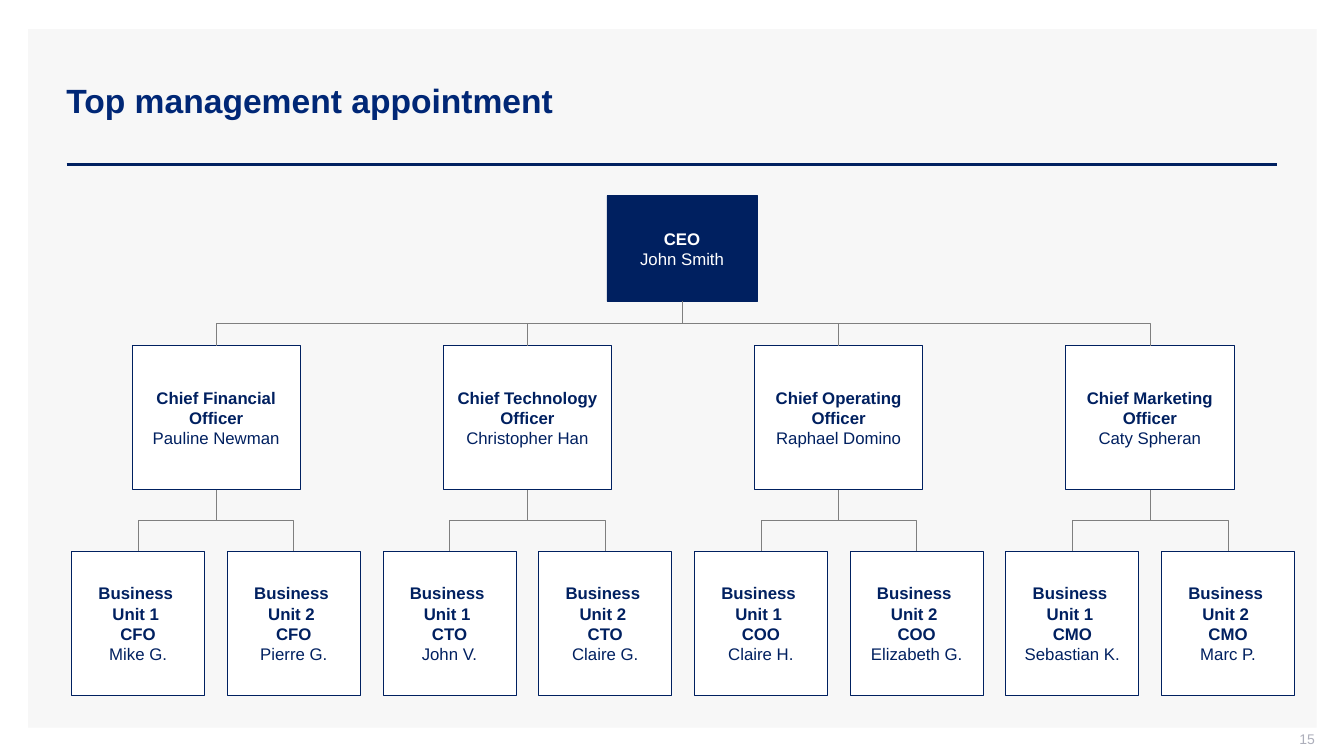
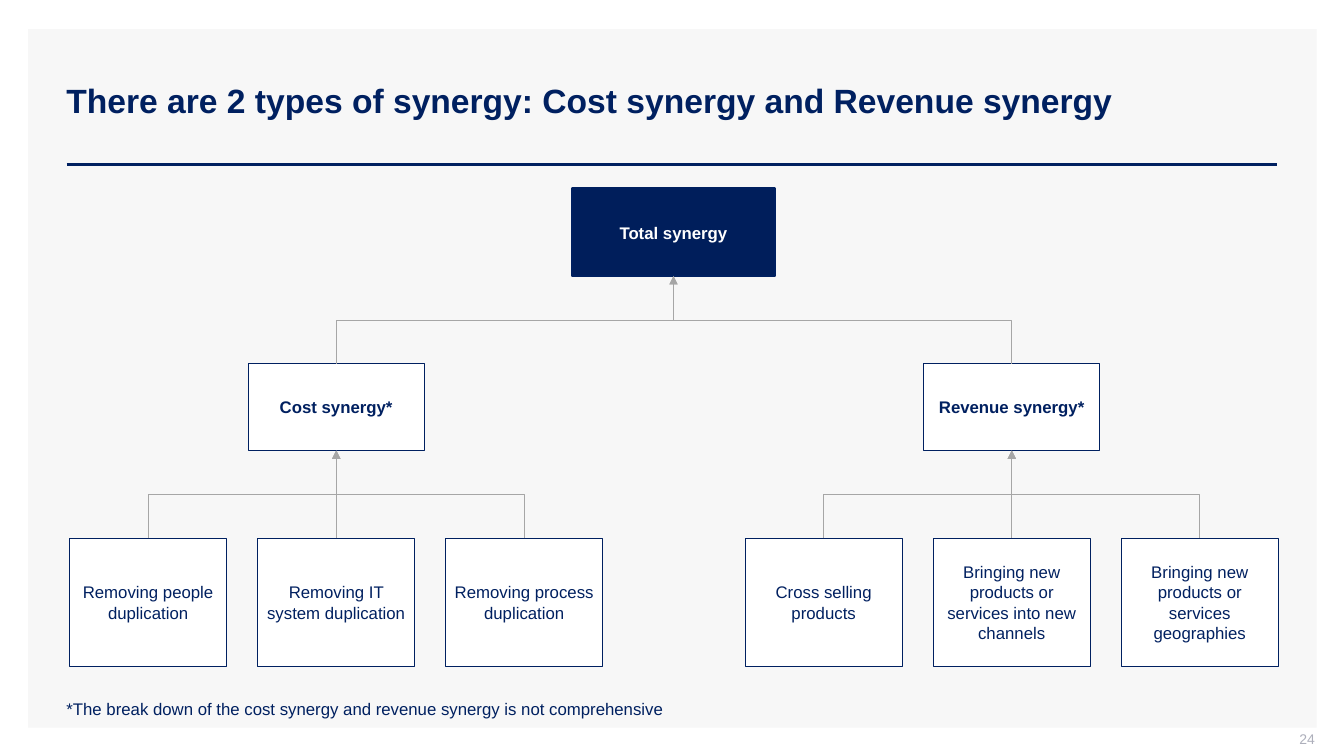
from copy import deepcopy

from lxml.etree import SubElement
from pptx import Presentation
from pptx.dml.color import RGBColor
from pptx.enum.shapes import MSO_CONNECTOR, MSO_SHAPE
from pptx.enum.text import MSO_ANCHOR, MSO_AUTO_SIZE, PP_ALIGN
from pptx.oxml.ns import qn
from pptx.util import Pt

SCALE = 9144
FONT = "Arial"
NAVY, WHITE, PANEL = "002060", "FFFFFF", "F7F7F7"
TOP, BOTTOM = 0, 2

CHIEFS = [
    ("Chief Financial Officer", "Pauline Newman", "CFO", ("Mike G.", "Pierre G.")),
    ("Chief Technology Officer", "Christopher Han", "CTO", ("John V.", "Claire G.")),
    ("Chief Operating Officer", "Raphael Domino", "COO", ("Claire H.", "Elizabeth G.")),
    ("Chief Marketing Officer", "Caty Spheran", "CMO", ("Sebastian K.", "Marc P.")),
]
SYNERGIES = [
    ("Cost synergy*", 69, (
        "Removing people duplication",
        "Removing IT system duplication",
        "Removing process duplication")),
    ("Revenue synergy*", 739, (
        "Cross selling products",
        "Bringing new products or services into new channels",
        "Bringing new products or services geographies")),
]


def px(n):
    """Turn px into EMU."""
    return round(n * SCALE)


def color(value):
    """Turn a hex string into a colour."""
    return RGBColor.from_string(value)


def set_attrs(obj, values):
    """Set attributes from a dict of format values."""
    for name, value in values.items():
        setattr(obj, name, value)


def spread(left, right, count, width):
    """Return the left edges of equal boxes spread evenly between two edges."""
    step = (right - left - width) / (count - 1)
    return [left + i * step for i in range(count)]


def write(sp, lines, ink, size=12, align=PP_ALIGN.LEFT, anchor=MSO_ANCHOR.MIDDLE,
          insets=(10, 5, 10, 5)):
    """Fill a shape with (text, bold) paragraphs."""
    tf = sp.text_frame
    sides = ("margin_left", "margin_top", "margin_right", "margin_bottom")
    set_attrs(tf, {"word_wrap": True, "vertical_anchor": anchor,
                   **dict(zip(sides, map(px, insets)))})
    for i, (text, bold) in enumerate(lines):
        p = tf.add_paragraph() if i else tf.paragraphs[0]
        set_attrs(p, {"text": text, "alignment": align})
        for r in p.runs:
            set_attrs(r.font, {"name": FONT, "size": Pt(size), "bold": bold})
            r.font.color.rgb = color(ink)
        for br in p._p.findall(qn("a:br")):
            br.append(deepcopy(p.runs[0]._r.rPr))


def add_text(s, box, lines, ink, **style):
    """Add a text box."""
    sp = s.shapes.add_textbox(*map(px, box))
    write(sp, lines, ink, **style)
    return sp


def add_box(s, box, lines=(), fill=WHITE, ink=NAVY, line=0.5, pad=6):
    """Add a filled rectangle with centred text and, if wanted, an outline."""
    sp = s.shapes.add_shape(MSO_SHAPE.RECTANGLE, *map(px, box))
    sp.shadow.inherit = False
    sp.fill.solid()
    sp.fill.fore_color.rgb = color(fill)
    if line:
        sp.line.color.rgb = color(NAVY)
        sp.line.width = Pt(line)
    else:
        sp.line.fill.background()
    write(sp, lines, ink, align=PP_ALIGN.CENTER, insets=(pad, 2, pad, 2))
    return sp


def style_line(cxn, ink, width, arrow=False):
    """Colour a connector, drop its shadow and add an arrowhead if wanted."""
    cxn.line.color.rgb = color(ink)
    cxn.line.width = Pt(width)
    if arrow:
        SubElement(cxn.line._get_or_add_ln(), qn("a:tailEnd"), type="triangle")
    SubElement(cxn._element.spPr, qn("a:effectLst"))


def link(s, start, start_site, end, end_site, ink, arrow=False):
    """Join two boxes with a straight or vertically bent connector."""
    x1, x2 = (b.left + b.width // 2 for b in (start, end))
    y1, y2 = (b.top + (b.height if site == BOTTOM else 0)
              for b, site in ((start, start_site), (end, end_site)))
    dx, dy = x2 - x1, y2 - y1
    straight = abs(dx) < px(1)
    kind = MSO_CONNECTOR.STRAIGHT if straight else MSO_CONNECTOR.ELBOW
    cxn = s.shapes.add_connector(kind, x1, y1, x2, y2)
    cxn.begin_connect(start, start_site)
    cxn.end_connect(end, end_site)
    if not straight:
        width, height = abs(dy), abs(dx)
        set_attrs(cxn, {"left": (x1 + x2 - width) // 2, "top": (y1 + y2 - height) // 2,
                        "width": width, "height": height})
        xfrm = cxn._element.spPr.find(qn("a:xfrm"))
        xfrm.set("rot", str((270 if (dx > 0) == (dy > 0) else 90) * 60000))
        xfrm.set("flipH", str(int(dx > 0)))
        xfrm.set("flipV", str(int(dy < 0)))
    style_line(cxn, ink, 0.5, arrow)


def add_frame(prs, title, number, ink=NAVY):
    """Add a slide with the shared panel, title, rule and page number."""
    s = prs.slides.add_slide(prs.slide_layouts[6])
    add_box(s, (28, 29, 1278, 693), fill=PANEL, line=0)
    rule = s.shapes.add_connector(MSO_CONNECTOR.STRAIGHT, *map(px, (66, 163, 1267, 163)))
    style_line(rule, NAVY, 2)
    add_text(s, (56, 40, 1211, 119), [(title, True)], ink, size=24)
    add_text(s, (1004, 725, 300, 21), [(number, False)], "ADAFBB", size=10,
             align=PP_ALIGN.RIGHT, insets=(10, 0, 0, 5))
    return s


def build_management(prs):
    """Build the chart of managers and their business units."""
    s = add_frame(prs, "Top management appointment", "15", "002776")
    grey = "7F7F7F"
    ceo = add_box(s, (602, 194, 149, 105), [("CEO", True), ("John Smith", False)],
                  fill=NAVY, ink=WHITE, pad=2)
    unit_lefts = iter(spread(71, 1284, 8, 132))
    for left, (role, name, short, heads) in zip(spread(131, 1224, 4, 167), CHIEFS):
        chief = add_box(s, (left, 343, 167, 143), [(role, True), (name, False)])
        link(s, ceo, BOTTOM, chief, TOP, grey)
        for i, head in enumerate(heads, 1):
            lines = [(f"Business \nUnit {i} ", True), (short, True), (head, False)]
            unit = add_box(s, (next(unit_lefts), 547, 132, 143), lines)
            link(s, chief, BOTTOM, unit, TOP, grey)


def build_synergy(prs):
    """Build the tree of synergy types."""
    s = add_frame(prs, "There are 2 types of synergy: Cost synergy and Revenue synergy", "24")
    grey = "A6A6A6"
    note = "*The break down of the cost synergy and revenue synergy is not comprehensive"
    sp = add_text(s, (56, 688, 875, 30), [(note, False)], NAVY, anchor=MSO_ANCHOR.TOP)
    sp.text_frame.auto_size = MSO_AUTO_SIZE.SHAPE_TO_FIT_TEXT
    total = add_box(s, (567, 187, 202, 87), [("Total synergy", True)],
                    fill="001E5B", ink=WHITE, line=1.5, pad=2)
    for name, left, sources in SYNERGIES:
        group = add_box(s, (left + 177, 361, 175, 86), [(name, True)], line=0.75, pad=2)
        link(s, group, TOP, total, BOTTOM, grey, arrow=True)
        for x, source in zip(spread(left, left + 529, 3, 156), sources):
            leaf = add_box(s, (x, 534, 156, 127), [(source, False)], line=0.75)
            link(s, leaf, TOP, group, BOTTOM, grey, arrow=True)


def main():
    """Build and save the presentation."""
    prs = Presentation()
    set_attrs(prs, {"slide_width": px(1333), "slide_height": px(750)})
    build_management(prs)
    build_synergy(prs)
    prs.save("out.pptx")


if __name__ == "__main__":
    main()
